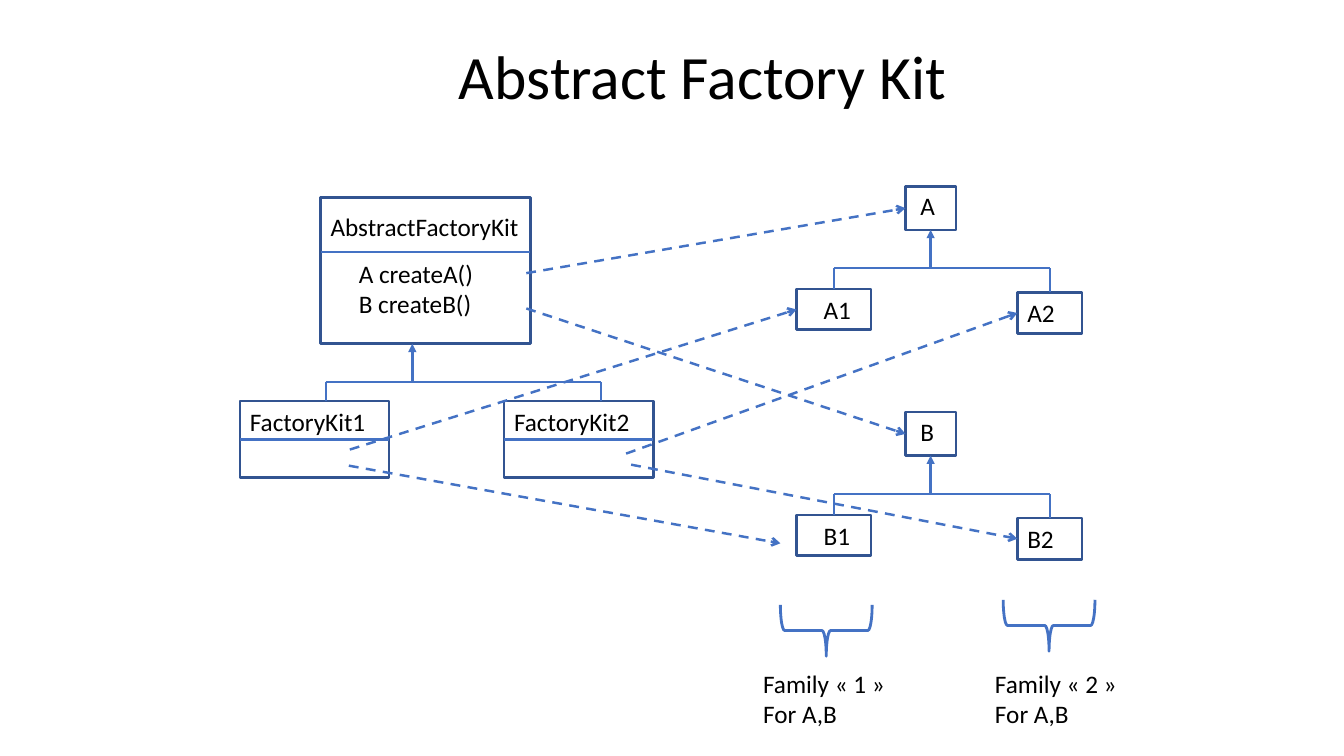
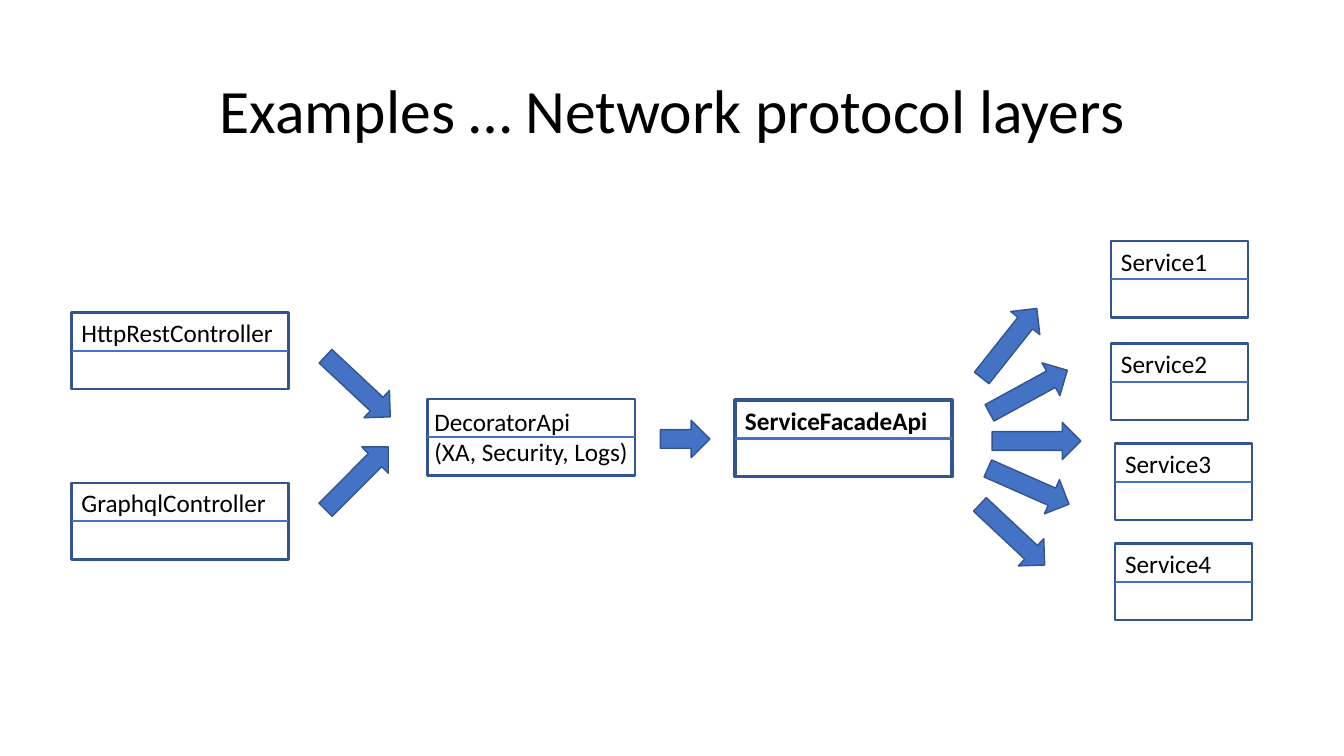
"""Build two class diagram slides: a factory kit and a stack of network layers."""
from dataclasses import dataclass
from typing import NamedTuple

from lxml import etree
from pptx import Presentation
from pptx.dml.color import RGBColor
from pptx.enum.dml import MSO_LINE
from pptx.enum.shapes import MSO_CONNECTOR, MSO_SHAPE
from pptx.enum.text import MSO_ANCHOR, MSO_AUTO_SIZE, PP_ALIGN
from pptx.oxml.ns import qn
from pptx.shapes.autoshape import Shape
from pptx.slide import Slide
from pptx.text.text import TextFrame
from pptx.util import Inches, Pt

RECT = MSO_SHAPE.RECTANGLE
ARROW = MSO_SHAPE.RIGHT_ARROW
BRACE = MSO_SHAPE.LEFT_BRACE
STRAIGHT = MSO_CONNECTOR.STRAIGHT
DASH = MSO_LINE.DASH
LEFT, CENTER = PP_ALIGN.LEFT, PP_ALIGN.CENTER
MIDDLE = MSO_ANCHOR.MIDDLE
FIT, FIXED = MSO_AUTO_SIZE.SHAPE_TO_FIT_TEXT, MSO_AUTO_SIZE.NONE
SIDE_TOP, SIDE_LEFT, SIDE_BASE, SIDE_RIGHT = range(4)

FONT = "Calibri"
BLACK, BLUE, NAVY = "000000", "4472C4", "325491"
CELL = 0.1
TITLE_ONLY = 5


class Spot(NamedTuple):
    x: float
    y: float


class Joint(NamedTuple):
    shape: Shape
    side: int


class Turn(NamedTuple):
    x: float
    y: float
    angle: float = 0
    wide: float = 8.8


@dataclass
class Card:
    lines: tuple[str, ...]
    x: float
    y: float
    wide: float
    span: float
    high: float = 7.6
    split: float = 0.5
    dx: float = 0
    dy: float = 0
    edge: float = 1.75
    bold: bool = False
    wrap: bool = False


def grid(*cells: float) -> list[int]:
    return [Inches(cell * CELL) for cell in cells]


def hue(code: str) -> RGBColor:
    return RGBColor.from_string(code)


def write(frame: TextFrame, *lines: str, size: float = 18, bold: bool = False,
          align: PP_ALIGN = LEFT, lead: float = 1.0, wrap: bool = False) -> None:
    frame.word_wrap = wrap
    for rank, line in enumerate(lines):
        para = frame.add_paragraph() if rank else frame.paragraphs[0]
        para.alignment, para.line_spacing = align, lead
        run = para.add_run()
        run.text = line
        font = run.font
        font.name, font.size, font.bold = FONT, Pt(size), bold
        font.color.rgb = hue(BLACK)


def label(slide: Slide, lines: tuple[str, ...], x: float, y: float, wide: float,
          bold: bool = False, wrap: bool = False) -> None:
    box = slide.shapes.add_textbox(*grid(x, y, wide, 1 + 3 * len(lines)))
    write(box.text_frame, *lines, bold=bold, wrap=wrap)
    box.text_frame.auto_size = FIT


def draw(slide: Slide, kind: MSO_SHAPE, x: float, y: float, wide: float, high: float,
         fill: str = "", line: str = NAVY, edge: float = 1.75, turn: float = 0) -> Shape:
    shape = slide.shapes.add_shape(kind, *grid(x, y, wide, high))
    shape.shadow.inherit = False
    shape.rotation = turn
    if fill:
        shape.fill.solid()
        shape.fill.fore_color.rgb = hue(fill)
    else:
        shape.fill.background()
    shape.line.color.rgb = hue(line)
    shape.line.width = Pt(edge)
    return shape


def link(slide: Slide, start: Spot | Joint, end: Spot | Joint, edge: float = 1.5,
         head: str = "", dash: bool = False) -> None:
    ends = [grid(*end) if isinstance(end, Spot) else (0, 0) for end in (start, end)]
    wire = slide.shapes.add_connector(STRAIGHT, *ends[0], *ends[1])
    if isinstance(start, Joint):
        wire.begin_connect(*start)
    if isinstance(end, Joint):
        wire.end_connect(*end)
    wire.line.color.rgb = hue(BLUE)
    wire.line.width = Pt(edge)
    if dash:
        wire.line.dash_style = DASH
    props = wire.element.spPr
    if head:
        etree.SubElement(props.find(qn("a:ln")), qn("a:tailEnd"), type=head)
    etree.SubElement(props, qn("a:effectLst"))


def place(slide: Slide, card: Card) -> Shape:
    box = draw(slide, RECT, card.x, card.y, card.wide, card.high, edge=card.edge)
    label(slide, card.lines, card.x + card.dx, card.y + card.dy, card.span,
          bold=card.bold, wrap=card.wrap)
    if card.split == 0.5:
        link(slide, Joint(box, SIDE_LEFT), Joint(box, SIDE_RIGHT))
    elif card.split:
        row = card.y + card.high * card.split
        link(slide, Spot(card.x, row), Spot(card.x + card.wide, row))
    return box


def start(deck: Presentation, title: str, x: float, y: float) -> Slide:
    slide = deck.slides.add_slide(deck.slide_layouts[TITLE_ONLY])
    head = slide.shapes.title
    head.left, head.top, head.width, head.height = grid(x, y, 115, 14.5)
    write(head.text_frame, title, size=44, align=CENTER, lead=0.9, wrap=True)
    head.text_frame.vertical_anchor = MIDDLE
    head.text_frame.auto_size = FIXED
    return slide


def tree(slide: Slide, name: str, top: float) -> tuple[Shape, Shape, Shape]:
    root = place(slide, Card((name,), 89.8, top, 5, 3.5, 4.3, 0, dx=0.5, dy=-0.1))
    first = place(slide, Card((name + "1",), 79, top + 10.2, 7.4, 4.8, 4, 0, dx=1.7))
    second = place(slide, Card((name + "2",), 100.9, top + 10.5, 6.4, 4.8, 4.1, 0))
    bar = top + 8.1
    link(slide, Spot(92.3, bar), Joint(root, SIDE_BASE), 1.75, "triangle")
    link(slide, Spot(82.7, bar), Spot(104.1, bar))
    link(slide, Joint(first, SIDE_TOP), Spot(82.7, bar))
    link(slide, Joint(second, SIDE_TOP), Spot(104.1, bar))
    return root, first, second


def kit(deck: Presentation) -> None:
    slide = start(deck, "Abstract Factory Kit", 12.2, 0.6)
    place(slide, Card(("AbstractFactoryKit",), 31.8, 19.6, 20.8, 20.8, 14.5, 0.37, dy=0.9))
    for rank, name in enumerate("AB"):
        label(slide, (f"{name} create{name}()",), 34.6, 25.1 + 3 * rank, 13.5)
    for name, x, stem in (("FactoryKit1", 23.8, 32.3), ("FactoryKit2", 50, 59.6)):
        place(slide, Card((name,), x, 39.8, 14.8, 13.6))
        link(slide, Spot(stem, 39.8), Spot(stem, 37.9))
    link(slide, Spot(32.3, 37.9), Spot(59.6, 37.9))
    link(slide, Spot(40.9, 37.9), Spot(40.9, 34.1), 1.75, "triangle")

    a, a1, a2 = tree(slide, "A", 18.5)
    b, _, b2 = tree(slide, "B", 40.9)
    calls = (
        (Spot(52.2, 27.1), Joint(a, SIDE_LEFT)),
        (Spot(52.2, 30.6), Joint(b, SIDE_LEFT)),
        (Spot(34.7, 44.6), Joint(a1, SIDE_LEFT)),
        (Spot(34.6, 46.2), Spot(77.4, 53.9)),
        (Spot(62.1, 45), Joint(a2, SIDE_LEFT)),
        (Spot(62.6, 46.1), Joint(b2, SIDE_LEFT)),
    )
    for tail, tip in calls:
        link(slide, tail, tip, 1.75, "arrow", dash=True)

    for rank, (x, y, left) in enumerate(((79.4, 58, 74.7), (101.5, 57.5, 97.7)), 1):
        draw(slide, BRACE, x, y, 5.1, 9.1, line=BLUE, edge=2, turn=270)
        label(slide, (f"Family « {rank} »", "For A,B"), left, 65.8, 14.2)


def layers(deck: Presentation) -> None:
    slide = start(deck, "Examples … Network protocol layers", 9.2, 4)
    turns = (
        Turn(31.1, 36.5, 43.1), Turn(31, 45.6, 314.9), Turn(65.5, 41.7, wide=4.9),
        Turn(96, 51.2, 43.1), Turn(97.6, 46.4, 23.8), Turn(98.4, 41.9),
        Turn(97.6, 37, 331.3), Turn(95.7, 32.2, 308.4),
    )
    for turn in turns:
        draw(slide, ARROW, turn.x, turn.y, turn.wide, 3.7, BLUE, edge=1, turn=turn.angle)
    cards = [
        Card(("HttpRestController",), 7.1, 31, 21.5, 21.3),
        Card(("GraphqlController",), 7.1, 47.9, 21.5, 20.5),
        Card(("DecoratorApi", "(XA, Security, Logs)"), 42.4, 39.6, 20.6, 21.5,
             dx=-0.3, dy=0.2, wrap=True),
        Card(("ServiceFacadeApi",), 72.9, 39.7, 21.5, 20.2, edge=2.5, bold=True),
    ]
    spots = ((110.2, 23.9), (110.2, 34.1), (110.6, 44), (110.6, 53.9))
    cards += [Card((f"Service{rank}",), x, y, 13.6, 10.7)
              for rank, (x, y) in enumerate(spots, 1)]
    for card in cards:
        place(slide, card)


def main() -> None:
    deck = Presentation()
    deck.slide_width, deck.slide_height = Inches(13.33), Inches(7.5)
    kit(deck)
    layers(deck)
    deck.save("out.pptx")


if __name__ == "__main__":
    main()
